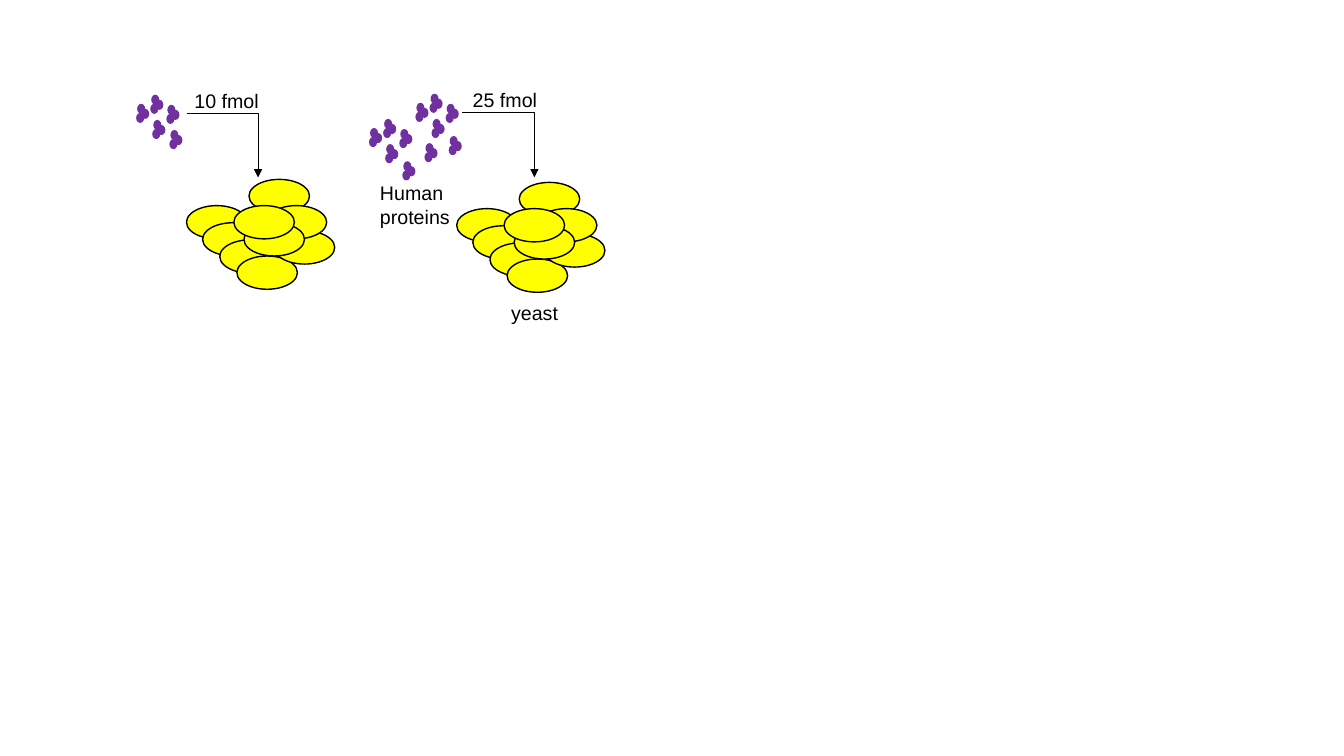
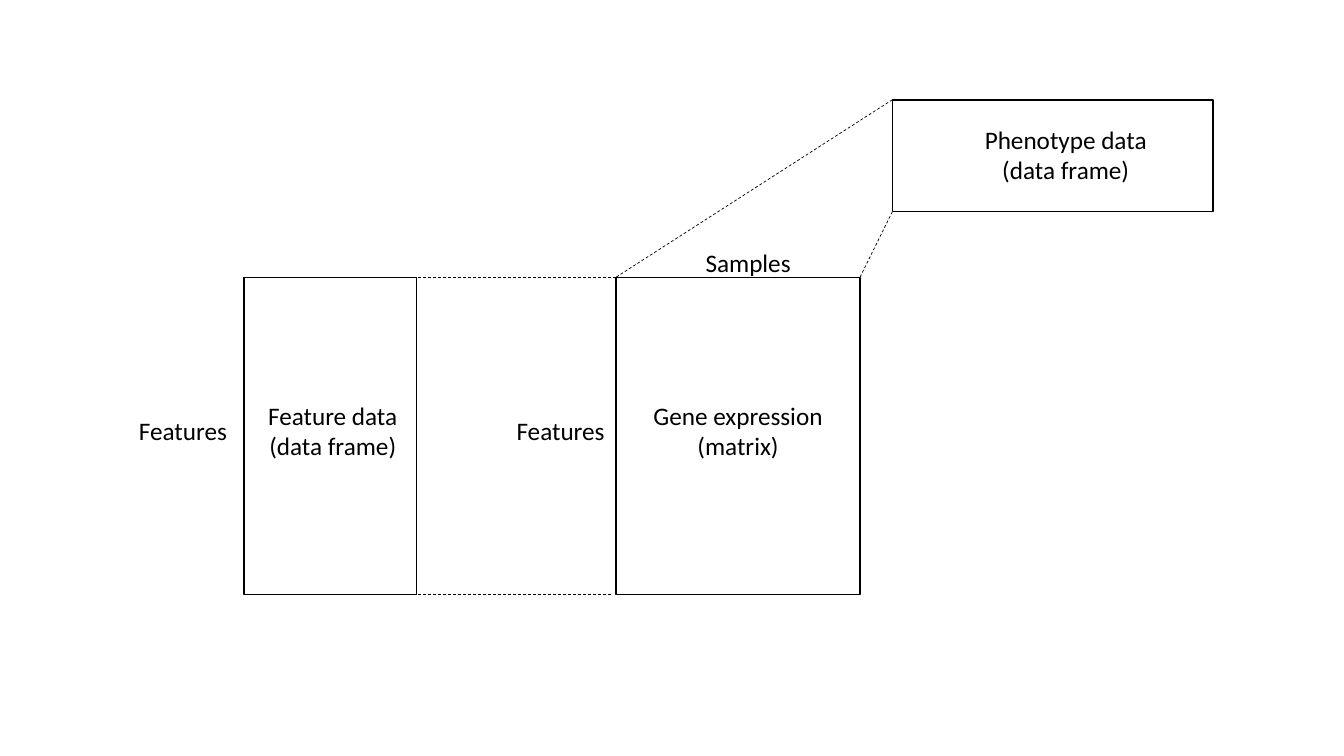
"""Builds two diagram slides: a spike-in experiment and an expression data set."""
from lxml import etree
from pptx import Presentation
from pptx.dml.color import RGBColor
from pptx.enum import dml, shapes, text
from pptx.oxml import ns
from pptx.util import Inches, Pt

BLACK, YELLOW, PURPLE = "000000", "FFFF00", "7030A0"
LABEL = ("Arial", 14, text.PP_ALIGN.LEFT)
CAPTION = ("Calibri", 18, text.PP_ALIGN.CENTER)
SIDE_NOTE = ("Calibri", 18, text.PP_ALIGN.LEFT)

YEAST_CELLS = [(0, 0.26), (0.16, 0.43), (0.33, 0.6), (0.5, 0.76), (0.62, 0),
               (0.87, 0.51), (0.79, 0.26), (0.57, 0.43), (0.47, 0.26)]
PROTEIN_LOBES = [(0, 0), (0.04, 0.05), (-0.01, 0.09)]


def color(code):
    return RGBColor.from_string(code)


def add_shape(parent, kind, left, top, width, height, fill=None, line=None):
    shape = parent.shapes.add_shape(kind, *map(Inches, (left, top, width, height)))
    shape.shadow.inherit = False
    if fill:
        shape.fill.solid()
        shape.fill.fore_color.rgb = color(fill)
    else:
        shape.fill.background()
    if line:
        shape.line.color.rgb = color(line)
        shape.line.width = Pt(1)
    else:
        shape.line.fill.background()


def add_text(page, left, top, width, height, lines, style):
    font_name, size, alignment = style
    box = page.shapes.add_textbox(*map(Inches, (left, top, width, height)))
    frame = box.text_frame
    frame.word_wrap = True
    frame.auto_size = text.MSO_AUTO_SIZE.SHAPE_TO_FIT_TEXT
    frame.text = lines
    for para in frame.paragraphs:
        para.alignment = alignment
        para.font.name = font_name
        para.font.size = Pt(size)
        para.font.color.rgb = color(BLACK)


def add_line(page, start, end, kind=shapes.MSO_CONNECTOR.STRAIGHT):
    connector = page.shapes.add_connector(kind, *map(Inches, (*start, *end)))
    connector.line.color.rgb = color(BLACK)
    connector.line.width = Pt(0.5)
    etree.SubElement(connector._element.spPr, ns.qn("a:effectLst"))
    return connector


def add_dashed_line(page, start, end):
    add_line(page, start, end).line.dash_style = dml.MSO_LINE.DASH


def add_bent_arrow(page, start, end):
    connector = add_line(page, start, end, shapes.MSO_CONNECTOR.ELBOW)
    properties = connector._element.spPr
    properties.find(ns.qn("a:prstGeom")).set("prst", "bentConnector2")
    outline = properties.find(ns.qn("a:ln"))
    etree.SubElement(outline, ns.qn("a:tailEnd"), type="triangle")


def add_yeast(page, left, top):
    for x, y in YEAST_CELLS:
        add_shape(page, shapes.MSO_SHAPE.OVAL, left + x, top + y, 0.6, 0.33, YELLOW, BLACK)


def add_protein(page, left, top):
    protein = page.shapes.add_group_shape()
    for x, y in PROTEIN_LOBES:
        add_shape(protein, shapes.MSO_SHAPE.OVAL, left + x, top + y, 0.08, 0.1, PURPLE)


def add_protein_cluster(page, left, top, drop):
    for x, y in [(0, 0), (0.16, 0.16), (0.33, drop), (0.14, -0.09), (0.3, 0.01)]:
        add_protein(page, left + x, top + y)


def add_box(page, left, top, width, height):
    add_shape(page, shapes.MSO_SHAPE.RECTANGLE, left, top, width, height, line=BLACK)


def build_spike_in(page):
    add_yeast(page, 1.85, 1.78)
    add_yeast(page, 4.53, 1.81)
    add_protein_cluster(page, 1.36, 1.03, 0.26)
    add_protein_cluster(page, 3.67, 1.27, 0.33)
    add_protein_cluster(page, 4.13, 1.02, 0.33)
    add_protein(page, 4.22, 1.42)
    add_bent_arrow(page, (1.85, 1.12), (2.56, 1.76))
    add_bent_arrow(page, (4.58, 1.11), (5.3, 1.76))
    add_text(page, 1.83, 0.83, 1.09, 0.34, "10 fmol", LABEL)
    add_text(page, 4.59, 0.82, 1.09, 0.34, "25 fmol", LABEL)
    add_text(page, 4.97, 2.94, 1.09, 0.34, "yeast", LABEL)
    add_text(page, 3.67, 1.75, 0.98, 0.57, "Human proteins", LABEL)


def build_expression_set(page):
    top, height = 2.75, 3.15
    matrix_left, matrix_width = 6.11, 2.42
    phenotype_left, phenotype_top, phenotype_height = 8.85, 0.99, 1.11
    bottom, matrix_right = top + height, matrix_left + matrix_width

    add_box(page, matrix_left, top, matrix_width, height)
    add_box(page, phenotype_left, phenotype_top, 3.18, phenotype_height)
    add_box(page, 2.42, top, 1.71, height)

    add_dashed_line(page, (matrix_left, top), (3.8, top))
    add_dashed_line(page, (6.06, bottom), (3.75, bottom))
    add_dashed_line(page, (phenotype_left, phenotype_top), (matrix_left, top))
    add_dashed_line(page, (phenotype_left, phenotype_top + phenotype_height),
                    (matrix_right, top))

    for left, caption_top, caption_height, lines in [
        (matrix_left, 3.92, 0.71, "Gene expression (matrix)"),
        (9.36, 1.18, 0.71, "Phenotype data\n(data frame)"),
        (2.09, 3.92, 0.71, "Feature data\n(data frame)"),
        (6.21, 2.4, 0.4, "Samples"),
        (4.35, 4.07, 0.4, "Features"),
    ]:
        add_text(page, left, caption_top, 2.42, caption_height, lines, CAPTION)
    add_text(page, 1.28, 4.07, 1.14, 0.4, "Features", SIDE_NOTE)


def main():
    deck = Presentation()
    deck.slide_width, deck.slide_height = Inches(13.33), Inches(7.5)
    for build in (build_spike_in, build_expression_set):
        build(deck.slides.add_slide(deck.slide_layouts[6]))
    deck.save("out.pptx")


if __name__ == "__main__":
    main()
